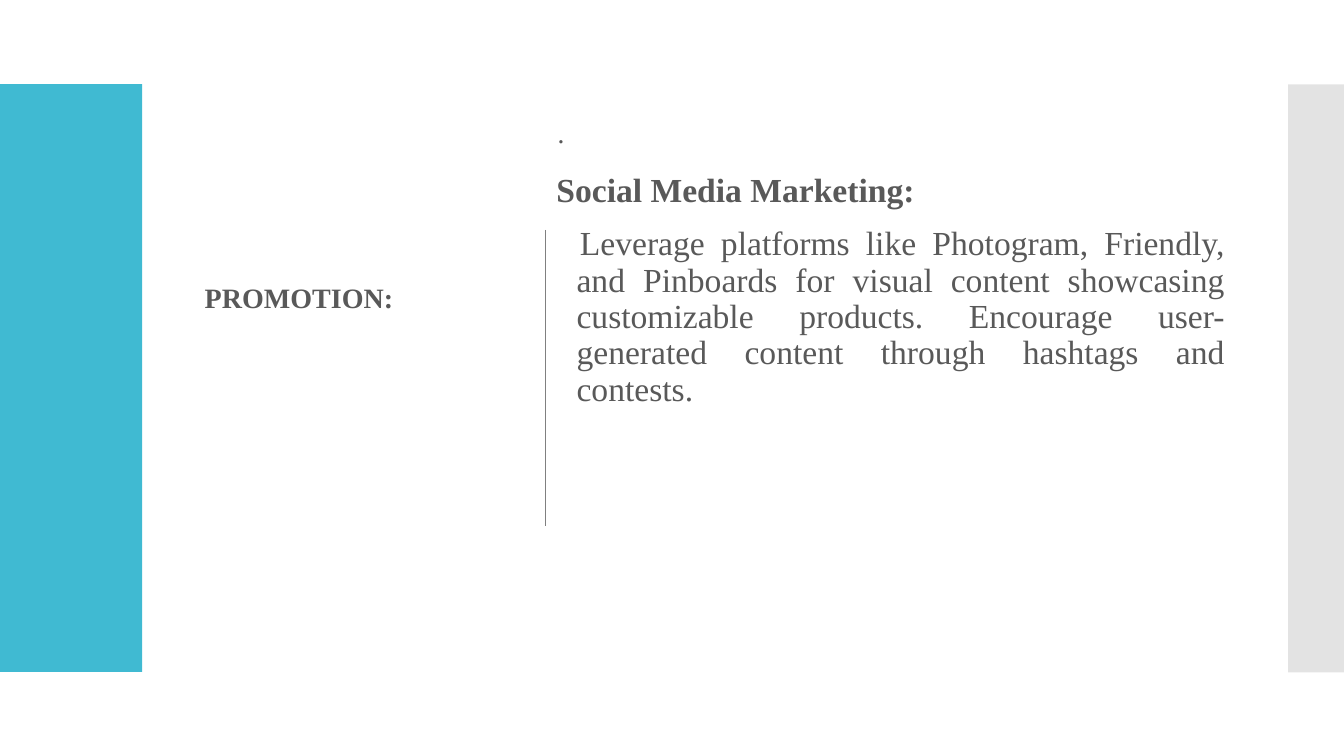
"""Build the promotion slide with its side bars, title and marketing text."""
from lxml.etree import SubElement
from pptx import Presentation
from pptx.dml.color import RGBColor
from pptx.enum.shapes import MSO_CONNECTOR, MSO_SHAPE
from pptx.enum.text import MSO_ANCHOR, MSO_AUTO_SIZE, PP_ALIGN
from pptx.oxml.ns import qn
from pptx.util import Pt

COLORS = {"teal": "40BAD2", "gray": "C8C8C8", "rule": "808080", "text": "595959"}
FONT = "Times New Roman"
BODY = [
    ("·", 20, False, -14.4),
    ("Social Media Marketing:", 24, True, -14.4),
    ("Leverage platforms like Photogram, Friendly, and Pinboards for visual "
     "content showcasing customizable products. Encourage user-generated "
     "content through hashtags and contests.", 24, False, 2.4),
]


def color(name):
    return RGBColor.from_string(COLORS[name])


def add_bar(slide, left, top, width, height, name, alpha=None):
    bar = slide.shapes.add_shape(
        MSO_SHAPE.RECTANGLE, Pt(left), Pt(top), Pt(width), Pt(height))
    bar.shadow.inherit = False
    bar.fill.solid()
    bar.fill.fore_color.rgb = color(name)
    bar.line.fill.background()
    if alpha:
        tone = bar.fill._xPr.find(".//" + qn("a:srgbClr"))
        SubElement(tone, qn("a:alpha"), val=str(alpha * 1000))


def add_rule(slide, left, top, bottom):
    rule = slide.shapes.add_connector(
        MSO_CONNECTOR.STRAIGHT, Pt(left), Pt(top), Pt(left), Pt(bottom))
    rule.line.color.rgb = color("rule")
    rule.line.width = Pt(1)
    SubElement(rule._element.spPr, qn("a:effectLst"))


def place(shape, left, top, width, height):
    shape.left, shape.top = Pt(left), Pt(top)
    shape.width, shape.height = Pt(width), Pt(height)
    frame = shape.text_frame
    frame.word_wrap = True
    frame.auto_size = MSO_AUTO_SIZE.NONE
    frame.vertical_anchor = MSO_ANCHOR.TOP
    return frame


def style(para, size, bold):
    for run in para.runs:
        run.font.name = FONT
        run.font.size = Pt(size)
        run.font.bold = bold
        run.font.color.rgb = color("text")


def fill_title(shape):
    frame = place(shape, 139, 196.6, 216, 31.7)
    frame.text = "PROMOTION:"
    para = frame.paragraphs[0]
    para.alignment = PP_ALIGN.LEFT
    style(para, 20, True)


def fill_body(shape):
    frame = place(shape, 390.24, 87, 491.76, 358)
    frame.text = "\n".join(row[0] for row in BODY)
    for num, (para, row) in enumerate(zip(frame.paragraphs, BODY)):
        _, size, bold, indent = row
        props = para._p.get_or_add_pPr()
        props.set("marL", str(Pt(14.4)))
        props.set("indent", str(Pt(indent)))
        SubElement(props, qn("a:buNone"))
        para.alignment = PP_ALIGN.JUSTIFY
        para.line_spacing = 0.9
        para.space_before = Pt(12 if num else 0)
        style(para, size, bold)


def main():
    deck = Presentation()
    deck.slide_width, deck.slide_height = Pt(960), Pt(540)
    slide = deck.slides.add_slide(deck.slide_layouts[1])
    add_bar(slide, 0, 60, 101.5, 420, "teal")
    add_bar(slide, 920, 60.3, 40, 420, "gray", 50)
    add_rule(slide, 389.5, 164.2, 375.8)
    fill_title(slide.shapes.title)
    fill_body(slide.placeholders[1])
    deck.save("out.pptx")


if __name__ == "__main__":
    main()
